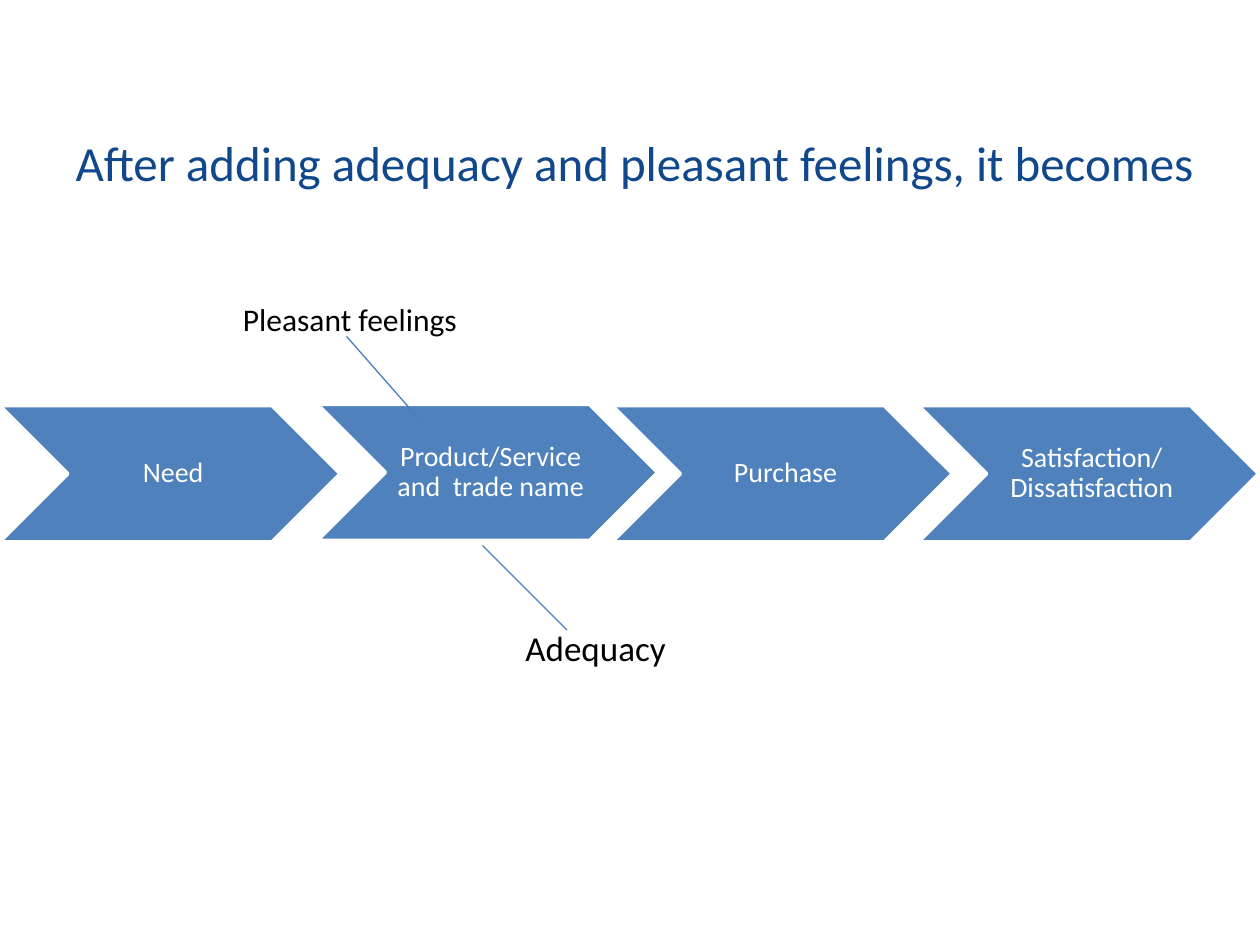
from lxml.etree import SubElement
from pptx import Presentation
from pptx.dml.color import RGBColor
from pptx.enum.shapes import MSO_CONNECTOR, MSO_SHAPE
from pptx.enum.text import MSO_ANCHOR, MSO_AUTO_SIZE, PP_ALIGN
from pptx.oxml.ns import qn
from pptx.util import Inches, Pt

# Content
TITLE = "After adding adequacy and pleasant feelings, it becomes"
STEPS = [  # text, left, top
    ("Need", 0, 3.22),
    ("Product/Service and  trade name", 2.52, 3.21),
    ("Purchase", 4.86, 3.22),
    ("Satisfaction/Dissatisfaction", 7.29, 3.22),
]
NOTES = [  # text, box, left inset, size
    ("Adequacy", (3.83, 4.92, 2, 0.44), 0.34, 20),
    ("Pleasant feelings", (1.83, 2.33, 1.92, 0.4), 0.1, 18),
]
LINKS = [(3.33, 3.33, 2.75, 2.67), (3.83, 4.33, 4.5, 5)]

# Look
COLORS = {"title": "11478B", "step": "4F81BD", "edge": "FFFFFF",
          "note": "000000", "link": "4B7EBC"}
STEP_W, STEP_H = 2.7, 1.08
STEP_PAD = (0.07, 0.02, 0.02, 0.02)


def tint(name):
    return RGBColor.from_string(COLORS[name])


def write(shape, text, size, color, pad, align, anchor):
    frame = shape.text_frame
    frame.text = text
    sides = ("left", "top", "right", "bottom")
    form = {f"margin_{side}": Inches(gap) for side, gap in zip(sides, pad)}
    form |= {"word_wrap": True, "vertical_anchor": anchor,
             "auto_size": MSO_AUTO_SIZE.NONE}
    for key, value in form.items():
        setattr(frame, key, value)
    para = frame.paragraphs[0]
    para.alignment = align
    for key, value in {"name": "Calibri", "size": Pt(size)}.items():
        setattr(para.font, key, value)
    para.font.color.rgb = tint(color)
    return para


deck = Presentation()
deck.slide_width, deck.slide_height = Inches(10), Inches(7.5)
slide = deck.slides.add_slide(deck.slide_layouts[5])
shapes = slide.shapes

# Title
title = shapes.title
spot = {"left": 0.5, "top": 1, "width": 9.08, "height": 1.04}
for key, value in spot.items():
    setattr(title, key, Inches(value))
write(title, TITLE, 28, "title", (0.1, 0.05, 0.1, 0.05),
      PP_ALIGN.LEFT, MSO_ANCHOR.TOP)

# Chain of steps
for text, left, top in STEPS:
    box = map(Inches, (left, top, STEP_W, STEP_H))
    step = shapes.add_shape(MSO_SHAPE.CHEVRON, *box)
    step.shadow.inherit = False
    step.fill.solid()
    step.fill.fore_color.rgb = tint("step")
    step.line.color.rgb = tint("edge")
    step.line.width = Pt(2)
    para = write(step, text, 16, "edge", STEP_PAD,
                 PP_ALIGN.CENTER, MSO_ANCHOR.MIDDLE)
    para.line_spacing = 0.9

# Notes above and below the chain
for text, box, inset, size in NOTES:
    note = shapes.add_textbox(*map(Inches, box))
    write(note, text, size, "note", (inset, 0.05, 0.1, 0.05),
          PP_ALIGN.LEFT, MSO_ANCHOR.TOP)

# Lines from notes to the chain
for ends in LINKS:
    link = shapes.add_connector(MSO_CONNECTOR.STRAIGHT, *map(Inches, ends))
    link.line.color.rgb = tint("link")
    link.line.width = Pt(0.75)
    SubElement(link._element.spPr, qn("a:effectLst"))

deck.save("out.pptx")
